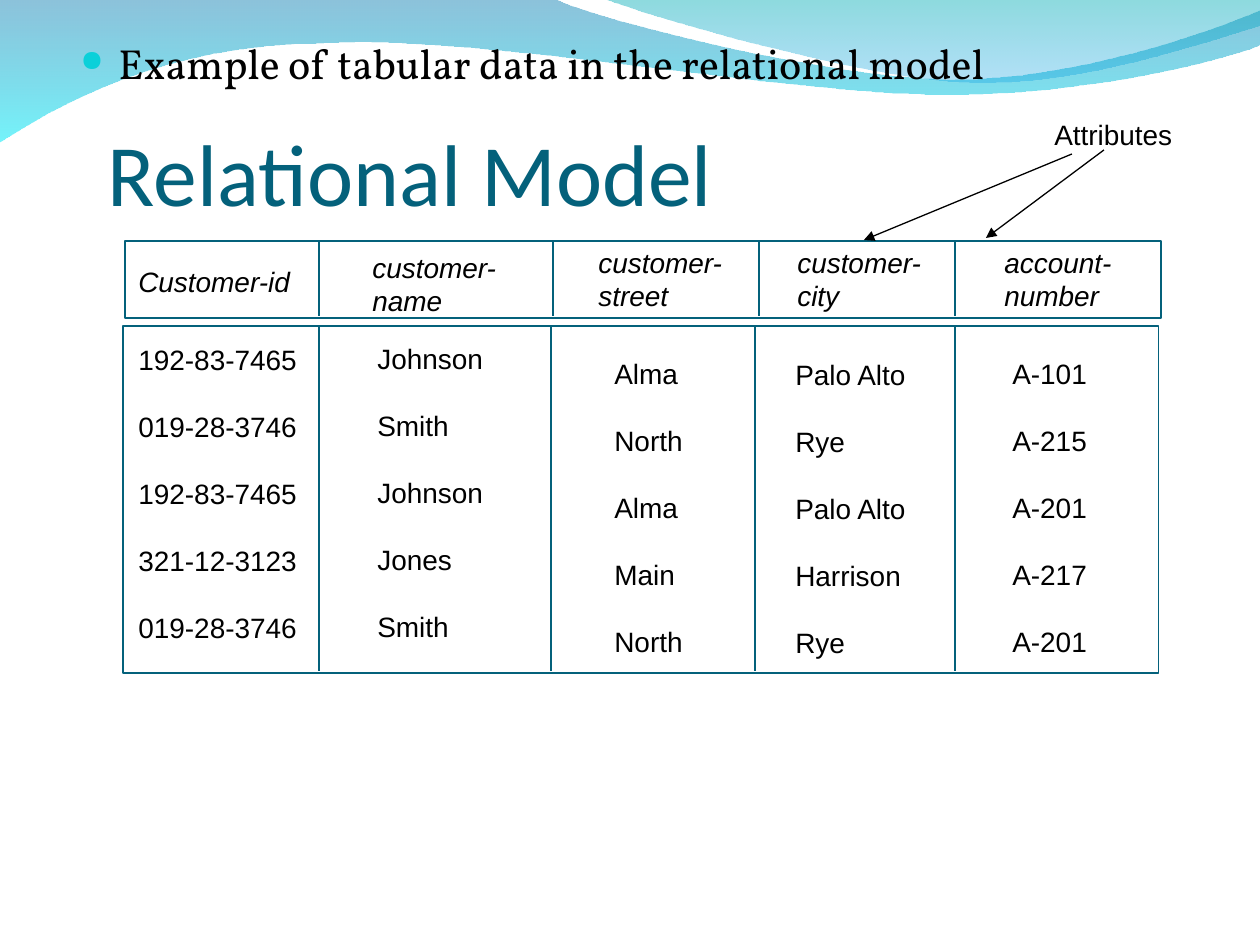
from lxml.etree import SubElement
from pptx import Presentation
from pptx.dml.color import RGBColor
from pptx.enum.shapes import MSO_CONNECTOR, MSO_SHAPE
from pptx.enum.text import MSO_ANCHOR, MSO_AUTO_SIZE
from pptx.oxml.ns import qn
from pptx.util import Pt

PX = 914400 // 126
TEAL, BLACK, WHITE = "04617B", "000000", "FFFFFF"
LINE_PT = 19.2

# Content
TITLE = "Relational Model"
POINT = "Example of tabular data in the relational model"
LABEL = "Attributes"
# Each column: heading lines, heading box, values, values box
COLUMNS = [
    (["Customer-id"], (126, 258, 178, 47),
     ["192-83-7465", "019-28-3746", "192-83-7465", "321-12-3123", "019-28-3746"],
     (126, 336, 183, 315)),
    (["customer-", "name"], (360, 244, 149, 81),
     ["Johnson", "Smith", "Johnson", "Jones", "Smith"], (365, 335, 131, 315)),
    (["customer-", "street"], (586, 239, 149, 81),
     ["Alma", "North", "Alma", "Main", "North"], (602, 350, 93, 315)),
    (["customer-", "city"], (785, 239, 149, 81),
     ["Palo Alto", "Rye", "Palo Alto", "Harrison", "Rye"], (783, 351, 136, 315)),
    (["account-", "number"], (992, 239, 132, 81),
     ["A-101", "A-215", "A-201", "A-217", "A-201"], (1000, 350, 100, 315)),
]
# Each grid: frame, then the x of its dividers
GRIDS = [
    ((125, 241, 1036, 77), (319, 553, 759, 955)),
    ((123, 326, 1036, 347), (319, 551, 755, 955)),
]
ARROWS = [(1104, 150, 986, 238), (1072, 154, 864, 240)]
# Each wave: start, segments (2 numbers a line, 6 a curve), gradient stops
WAVES = [
    ((0, -1),
     [(554, -1), (600, 21, 837, 79, 955, 79), (1075, 79, 1207, 33, 1260, 11),
      (1261, 45), (1238, 55, 1096, 96, 940, 94), (784, 94, 481, 35, 324, 43),
      (163, 44, 58, 105, -1, 142)],
     [(0, "0079AF", 45), (100, "00EBF8", 55)]),
    ((604, -1),
     [(641, 14, 859, 78, 969, 82), (1079, 87, 1211, 40, 1260, 26), (1260, 0)],
     [(0, "00ADB6", 45), (100, "009BE5", 30)]),
]


def color(code):
    return RGBColor.from_string(code)


def scale(box):
    return [v * PX for v in box]


def bend(shape, segments):
    """Join each three points of a curve segment into one cubic curve."""
    steps = iter(list(shape._element.spPr.iter(qn("a:lnTo"))))
    for seg in segments:
        parts = [next(steps) for _ in range(len(seg) // 2)]
        if len(parts) == 3:
            first, *rest = parts
            first.tag = qn("a:cubicBezTo")
            for part in rest:
                first.append(part[0])
                part.getparent().remove(part)


def add_wave(slide, start, segments, stops):
    points = [seg[i:i + 2] for seg in segments for i in range(0, len(seg), 2)]
    pen = slide.shapes.build_freeform(*start, scale=PX)
    pen.add_line_segments(points, close=True)
    wave = pen.convert_to_shape()
    bend(wave, segments)
    wave.shadow.inherit = False
    wave.line.fill.background()
    wave.fill.gradient()
    wave.fill.gradient_angle = 270
    marks = wave._element.spPr.iter(qn("a:gs"))
    for stop, mark, (pos, code, alpha) in zip(wave.fill.gradient_stops, marks, stops):
        stop.color.rgb = color(code)
        mark.set("pos", str(pos * 1000))
        SubElement(mark[0], qn("a:alpha")).set("val", str(alpha * 1000))


def add_text(slide, box, lines, style, gap=0, pitch=None, frame=None, bullet=None):
    text = slide.shapes.add_textbox(*scale(box)).text_frame
    for name, value in (frame or {}).items():
        setattr(text, name, value)
    for i, words in enumerate(lines):
        para = text.paragraphs[0] if i == 0 else text.add_paragraph()
        if bullet:
            add_bullet(para, *bullet)
        if pitch:
            para.line_spacing = Pt(pitch)
        if i and gap:
            para.space_before = Pt(gap)
        run = para.add_run()
        run.text = words
        for name, value in style.items():
            if name == "color":
                run.font.color.rgb = color(value)
            else:
                setattr(run.font, name, value)


def add_bullet(para, sign, code, size, indent):
    props = para._p.get_or_add_pPr()
    props.set("marL", str(indent * PX))
    props.set("indent", str(-indent * PX))
    SubElement(SubElement(props, qn("a:buClr")), qn("a:srgbClr")).set("val", code)
    SubElement(props, qn("a:buSzPct")).set("val", str(size * 1000))
    SubElement(props, qn("a:buChar")).set("char", sign)


def add_line(slide, ends, code, arrow=False):
    line = slide.shapes.add_connector(MSO_CONNECTOR.STRAIGHT, *scale(ends))
    line.line.width = Pt(0.75)
    line.line.color.rgb = color(code)
    if arrow:
        SubElement(line.line._get_or_add_ln(), qn("a:tailEnd")).set("type", "triangle")
    SubElement(line._element.spPr, qn("a:effectLst"))


def add_grid(slide, frame, dividers):
    rect = slide.shapes.add_shape(MSO_SHAPE.RECTANGLE, *scale(frame))
    rect.shadow.inherit = False
    rect.fill.solid()
    rect.fill.fore_color.rgb = color(WHITE)
    rect.line.color.rgb = color(TEAL)
    rect.line.width = Pt(0.75)
    _, top, _, high = frame
    for x in dividers:
        add_line(slide, (x, top + 1, x, top + high - 2), TEAL)


def main():
    deck = Presentation()
    deck.slide_width, deck.slide_height = scale((1260, 945))
    slide = deck.slides.add_slide(deck.slide_layouts[6])

    # Waves, title and bullet point
    for wave in WAVES:
        add_wave(slide, *wave)
    add_text(slide, (108, 97, 1089, 127), [TITLE],
             {"name": "Calibri", "size": Pt(50), "color": TEAL},
             frame={"word_wrap": True, "vertical_anchor": MSO_ANCHOR.BOTTOM,
                    "margin_left": 0, "margin_top": 6 * PX,
                    "margin_right": 0, "margin_bottom": 0})
    add_text(slide, (68, 31, 1081, 93), [POINT],
             {"name": "Vollkorn", "size": Pt(24), "color": BLACK},
             frame={"word_wrap": True}, bullet=("●", "0BD0D9", 70, 38))

    # Frames with dividers, then the words in each column
    for grid in GRIDS:
        add_grid(slide, *grid)
    plain = {"name": "Arial", "size": Pt(16), "color": BLACK}
    fit = {"word_wrap": True, "margin_right": 0,
           "auto_size": MSO_AUTO_SIZE.SHAPE_TO_FIT_TEXT}
    for head, spot, values, box in COLUMNS:
        add_text(slide, spot, head, {**plain, "italic": True}, pitch=LINE_PT, frame=fit)
        add_text(slide, box, values, plain, gap=LINE_PT, pitch=LINE_PT, frame=fit)

    # Label with its arrows
    add_text(slide, (1042, 111, 142, 47), [LABEL], plain, pitch=LINE_PT, frame=fit)
    for ends in ARROWS:
        add_line(slide, ends, BLACK, arrow=True)

    deck.save("out.pptx")


if __name__ == "__main__":
    main()
